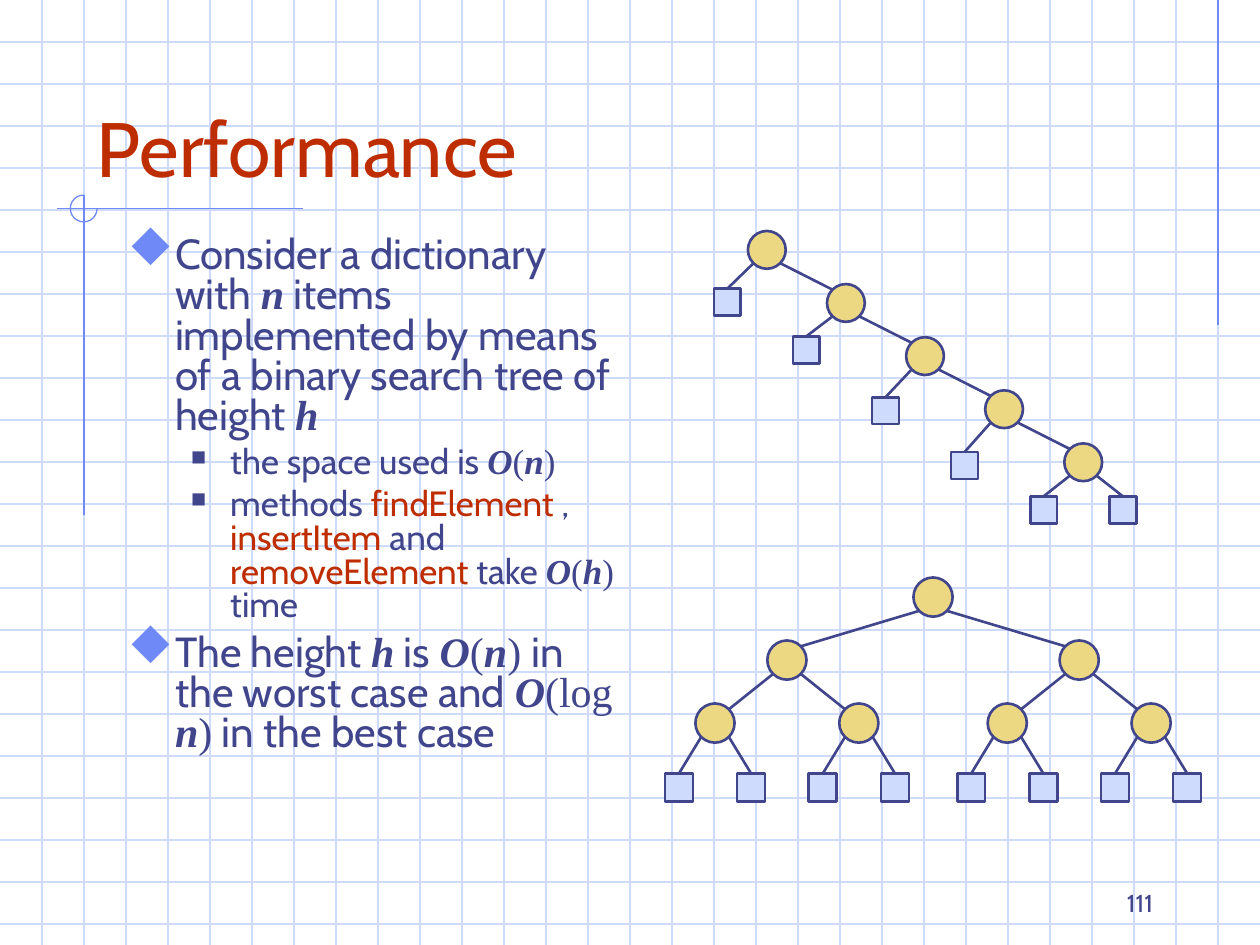
from lxml.etree import SubElement
from pptx import Presentation
from pptx.dml.color import RGBColor
from pptx.enum.shapes import MSO_CONNECTOR as CONNECTOR, MSO_SHAPE as SHAPE
from pptx.enum.text import MSO_ANCHOR as ANCHOR, MSO_AUTO_SIZE as AUTO_SIZE, PP_ALIGN as ALIGN
from pptx.oxml.ns import qn
from pptx.util import Pt

# Content: paragraphs are (level, runs), each run is (style, text)
TITLE = "Performance"
PAGE = "111"
BODY = [
    (0, [("plain", "Consider a dictionary with "), ("var", "n"),
         ("plain", " items implemented by means of a binary search tree of height "),
         ("var", "h")]),
    (1, [("plain", "the space used is "),
         ("var", "O"), ("math", "("), ("var", "n"), ("math", ")")]),
    (1, [("plain", "methods "), ("method", "findElement "), ("plain", ", "),
         ("method", "insertItem"), ("plain", " and "), ("method", "removeElement"),
         ("plain", " take "), ("var", "O"), ("math", "("), ("var", "h"), ("math", ") "),
         ("plain", "time")]),
    (0, [("plain", "The height "), ("var", "h"), ("plain", " is "),
         ("var", "O"), ("math", "("), ("var", "n"), ("math", ") "),
         ("plain", "in the worst case and "),
         ("var", "O"), ("math", "(log "), ("var", "n"), ("math", ")"),
         ("plain", " in the best case")]),
]

# Trees, in points
WORST = dict(root=(438.2, 142.8), step=(45.2, 30.35), leaf_dx=22.6, radius=10.8,
             leaf=15.4, leaf_tops=[165, 192.2, 227, 258.3, 283.6], last_leaf_top=283.6)
BEST = dict(root=(533.2, 341.2), spreads=[83.5, 41.1, 20.6], drop=36, radius=11.2,
            leaf=16, leaf_top=442)

# Theme
THEME = dict(
    ink=RGBColor(0x40, 0x45, 0x8C), accent=RGBColor(0xBE, 0x2D, 0x00),
    rule=RGBColor(0x6F, 0x89, 0xF7), pale=RGBColor(0xCF, 0xDB, 0xFD),
    node=RGBColor(0xEC, 0xD8, 0x82),
    title=44, page=14, thin=0.75, thick=1.5,
    sans="Cabin", serif="Times New Roman", symbols="Wingdings",
)
STYLES = {
    "plain": dict(),
    "method": dict(color=THEME["accent"]),
    "math": dict(font=THEME["serif"]),
    "var": dict(font=THEME["serif"], bold=True, italic=True),
}
# In the symbol font, "u" is a diamond and "n" a square
LEVELS = [
    dict(size=24, left=27, hang=27, before=6, bullet="u", scale=110, color=THEME["rule"]),
    dict(size=20, left=58.5, hang=22.5, before=5, bullet="n", scale=60, color=THEME["ink"]),
]
WIDTH, HEIGHT, GRID = 720, 540, 24

deck = Presentation()
deck.slide_width, deck.slide_height = Pt(WIDTH), Pt(HEIGHT)
slide = deck.slides.add_slide(deck.slide_layouts[5])
shapes = slide.shapes


def write(paragraph, text, *, size, color=THEME["ink"], font=THEME["sans"],
          bold=False, italic=False):
    run = paragraph.add_run()
    run.text = text
    run.font.size, run.font.name = Pt(size), font
    run.font.bold, run.font.italic = bold, italic
    run.font.color.rgb = color


def place(box, left, top, width, height, anchor):
    box.left, box.top, box.width, box.height = map(Pt, (left, top, width, height))
    frame = box.text_frame
    frame.word_wrap, frame.auto_size = True, AUTO_SIZE.NONE
    frame.vertical_anchor = anchor
    return frame


def add_bullet(paragraph, level):
    props = paragraph._p.get_or_add_pPr()
    props.set("marL", str(Pt(level["left"])))
    props.set("indent", str(-Pt(level["hang"])))
    color = SubElement(props, qn("a:buClr"))
    SubElement(color, qn("a:srgbClr"), val=str(level["color"]))
    SubElement(props, qn("a:buSzPct"), val=str(level["scale"] * 1000))
    SubElement(props, qn("a:buFont"), typeface=THEME["symbols"], charset="2")
    SubElement(props, qn("a:buChar"), char=level["bullet"])


def add_line(x1, y1, x2, y2, color, weight):
    line = shapes.add_connector(CONNECTOR.STRAIGHT, *map(Pt, (x1, y1, x2, y2)))
    line.line.color.rgb, line.line.width = color, Pt(weight)
    SubElement(line.element.spPr, qn("a:effectLst"))
    return line


def add_node(kind, x, y, size, fill):
    """Add a tree node centred on x with its top at y."""
    node = shapes.add_shape(kind, Pt(x - size / 2), Pt(y), Pt(size), Pt(size))
    node.shadow.inherit = False
    node.fill.solid()
    node.fill.fore_color.rgb = fill
    node.line.color.rgb, node.line.width = THEME["ink"], Pt(THEME["thick"])
    return node


def add_inner(x, y, radius):
    return add_node(SHAPE.OVAL, x, y - radius, 2 * radius, THEME["node"])


def add_leaf(x, top, size):
    return add_node(SHAPE.RECTANGLE, x, top, size, THEME["pale"])


def join(parent, child, side):
    """Join a parent's lower diagonal to its child; side is -1 left, 1 right."""
    def diagonal(node, dx, dy):
        reach = node.width.pt / 2 * 0.7
        return (node.left.pt + node.width.pt / 2 + dx * reach,
                node.top.pt + node.height.pt / 2 + dy * reach)

    edge = add_line(*diagonal(parent, side, 1), *diagonal(child, -side, -1),
                    THEME["ink"], THEME["thick"])
    if child.auto_shape_type == SHAPE.RECTANGLE:
        edge.end_connect(child, 0)


def add_worst_tree(root, step, leaf_dx, radius, leaf, leaf_tops, last_leaf_top):
    parent = None
    for depth, top in enumerate(leaf_tops):
        x, y = root[0] + depth * step[0], root[1] + depth * step[1]
        node = add_inner(x, y, radius)
        if parent:
            join(parent, node, 1)
        join(node, add_leaf(x - leaf_dx, top, leaf), -1)
        parent = node
    join(parent, add_leaf(x + leaf_dx, last_leaf_top, leaf), 1)


def add_best_tree(root, spreads, drop, radius, leaf, leaf_top):
    x, y = root
    if not spreads:
        return add_leaf(x, leaf_top, leaf)
    node = add_inner(x, y, radius)
    for side in (-1, 1):
        child = add_best_tree((x + side * spreads[0], y + drop), spreads[1:],
                              drop, radius, leaf, leaf_top)
        join(node, child, side)
    return node


# Background grid
for y in range(GRID, HEIGHT, GRID):
    add_line(0, y, WIDTH, y, THEME["pale"], THEME["thin"])
for x in range(GRID, WIDTH, GRID):
    add_line(x, 0, x, HEIGHT, THEME["pale"], THEME["thin"])

# Rules and three-quarter circle
for ends in [(696, 0, 696, 186), (173, 119.2, 32.5, 119.2), (48, 111.5, 48, 294.5)]:
    add_line(*ends, THEME["rule"], THEME["thin"])
ring = shapes.add_shape(SHAPE.ARC, Pt(40.2), Pt(111.5), Pt(15.3), Pt(15.3))
ring.adjustments[0], ring.adjustments[1] = 0, 162  # 0 to 270 degrees
ring.shadow.inherit = False
ring.fill.background()
ring.line.color.rgb, ring.line.width = THEME["rule"], Pt(THEME["thin"])

# Title, in front of the grid
title = shapes.title
title.element.getparent().append(title.element)
heading = place(title, 48, 24, 612, 90, ANCHOR.BOTTOM).paragraphs[0]
heading.alignment = ALIGN.LEFT
write(heading, TITLE, size=THEME["title"], color=THEME["accent"])

# Body text
body = place(shapes.add_textbox(0, 0, 0, 0), 66, 132, 294, 360, ANCHOR.TOP)
for index, (depth, runs) in enumerate(BODY):
    level = LEVELS[depth]
    paragraph = body.add_paragraph() if index else body.paragraphs[0]
    paragraph.level = depth
    add_bullet(paragraph, level)
    paragraph.line_spacing = 0.8
    paragraph.space_before = Pt(level["before"] if index else 0)
    for style, text in runs:
        write(paragraph, text, size=level["size"], **STYLES[style])

# Trees
add_worst_tree(**WORST)
add_best_tree(**BEST)

# Page number
page = place(shapes.add_textbox(0, 0, 0, 0), 516, 492, 150, 36, ANCHOR.BOTTOM).paragraphs[0]
page.alignment = ALIGN.RIGHT
write(page, PAGE, size=THEME["page"])

deck.save("out.pptx")
